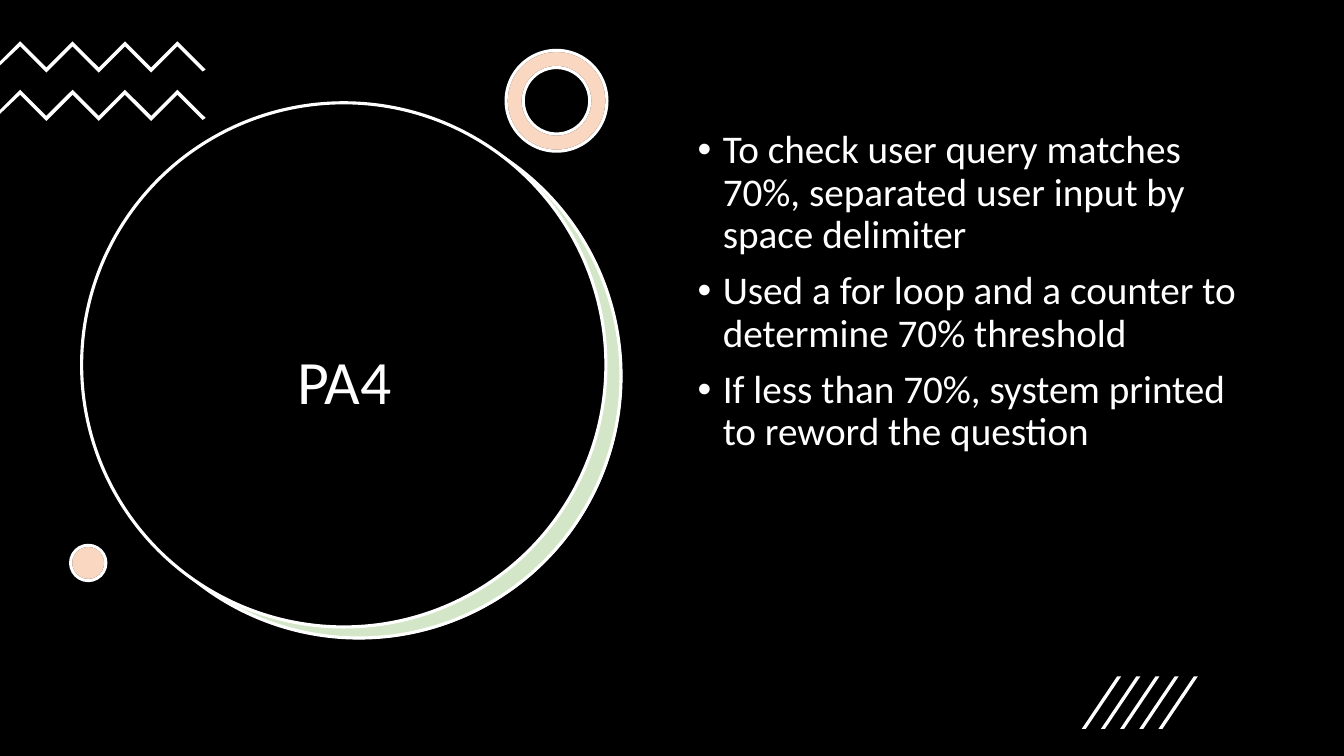
"""Build the PA4 slide with its circles, zigzags, slashes and bullet list."""
from dataclasses import dataclass

import pptx
import pptx.dml.color
import pptx.enum.shapes
import pptx.enum.text
import pptx.oxml
import pptx.oxml.ns
import pptx.util
from lxml import etree

Inches = pptx.util.Inches
Pt = pptx.util.Pt
RGBColor = pptx.dml.color.RGBColor
Kind = pptx.enum.shapes.MSO_SHAPE
Align = pptx.enum.text.PP_ALIGN
Anchor = pptx.enum.text.MSO_ANCHOR

BLACK = RGBColor(0x00, 0x00, 0x00)
WHITE = RGBColor(0xFF, 0xFF, 0xFF)
GREEN = RGBColor(0x70, 0xAD, 0x47)
ORANGE = RGBColor(0xED, 0x7D, 0x31)
FONT = "Calibri"
WIDE, HIGH = 13.33, 7.5


@dataclass
class Form:
    kind: Kind
    left: float
    top: float
    width: float
    height: float
    fill: RGBColor
    line: RGBColor | None = None
    alpha: int = 100
    hole: float | None = None


@dataclass
class Block:
    left: float
    top: float
    width: float
    height: float
    size: int
    lines: list[str]
    list_like: bool = False


def paint(shape, fill: RGBColor, line: RGBColor | None, alpha: int = 100) -> None:
    """Set fill, opacity in percent and outline."""
    shape.shadow.inherit = False
    shape.fill.solid()
    shape.fill.fore_color.rgb = fill
    if alpha < 100:
        tint = shape.fill._xPr.find(".//" + pptx.oxml.ns.qn("a:srgbClr"))
        etree.SubElement(tint, pptx.oxml.ns.qn("a:alpha"), val=str(alpha * 1000))
    if line is None:
        shape.line.fill.background()
    else:
        shape.line.color.rgb = line
        shape.line.width = Pt(2.25)


def draw(slide, form: Form) -> None:
    """Add one preset shape."""
    shape = slide.shapes.add_shape(
        form.kind, Inches(form.left), Inches(form.top),
        Inches(form.width), Inches(form.height))
    if form.hole is not None:
        shape.adjustments[0] = form.hole
    paint(shape, form.fill, form.line, form.alpha)


def trace(slide, points: list[tuple[float, float]]) -> None:
    """Add one closed white outline through points in inches."""
    spots = [(Inches(x), Inches(y)) for x, y in points]
    pen = slide.shapes.build_freeform(*spots[0], scale=1.0)
    pen.add_line_segments(spots[1:], close=True)
    paint(pen.convert_to_shape(), WHITE, None)


def zigzag(slide, top: float) -> None:
    """Add a zigzag band that runs in from the left edge."""
    bends = [(0.2 + 0.26 * i, top + 0.26 * (i % 2)) for i in range(7)]
    lower = [(x, y + 0.05) for x, y in reversed(bends)]
    ends = [(2.04, top + 0.28), (2.01, top + 0.3)]
    trace(slide, bends + ends + lower + [(0, top + 0.24), (0, top + 0.2)])


def slash(slide, left: float) -> None:
    """Add one slanted bar."""
    trace(slide, [(left + 0.04, 7.23), (left, 7.23),
                  (left + 0.35, 6.71), (left + 0.39, 6.71)])


def write(slide, block: Block) -> None:
    """Add a text box, as a bullet list or as a centred title."""
    box = slide.shapes.add_textbox(
        Inches(block.left), Inches(block.top),
        Inches(block.width), Inches(block.height))
    frame = box.text_frame
    frame.word_wrap = True
    frame.vertical_anchor = Anchor.TOP if block.list_like else Anchor.MIDDLE
    for i, line in enumerate(block.lines):
        para = frame.add_paragraph() if i else frame.paragraphs[0]
        para.line_spacing = 0.9
        if block.list_like:
            para.space_before = Pt(10)
            props = para._p.get_or_add_pPr()
            props.set("marL", str(Inches(0.25)))
            props.set("indent", str(Inches(-0.25)))
            etree.SubElement(props, pptx.oxml.ns.qn("a:buFont"), typeface="Arial")
            etree.SubElement(props, pptx.oxml.ns.qn("a:buChar"), char="•")
        else:
            para.alignment = Align.CENTER
        run = para.add_run()
        run.text = line
        run.font.size = Pt(block.size)
        run.font.name = FONT
        run.font.color.rgb = WHITE


def main() -> None:
    """Build and save the slide."""
    deck = pptx.Presentation()
    deck.slide_width, deck.slide_height = Inches(WIDE), Inches(HIGH)
    slide = deck.slides.add_slide(deck.slide_layouts[6])
    oval, ring = Kind.OVAL, Kind.DONUT
    for form in (
        Form(Kind.RECTANGLE, 0, 0, WIDE, HIGH, BLACK),
        Form(oval, 0.97, 1.14, 5.2, 5.2, WHITE),
        Form(oval, 0.96, 1.13, 5.2, 5.2, GREEN, WHITE, 30),
        Form(oval, 0.81, 1.02, 5.2, 5.2, BLACK, WHITE),
    ):
        draw(slide, form)
    write(slide, Block(1.21, 2.05, 4.41, 3.52, 44, ["PA4"]))
    for top in (0.41, 0.89):
        zigzag(slide, top)
    for kind, left, top, size, hole in (
        (ring, 5.02, 0.5, 1, 0.17),
        (oval, 0.7, 5.41, 0.35, None),
    ):
        for fill, line, alpha in ((WHITE, BLACK, 100), (ORANGE, WHITE, 30)):
            draw(slide, Form(kind, left, top, size, size, fill, line, alpha, hole))
    write(slide, Block(6.82, 1.24, 5.71, 4.76, 28, [
        "To check user query matches 70%, separated user input by space delimiter",
        "Used a for loop and a counter to determine 70% threshold",
        "If less than 70%, system printed to reword the question",
    ], True))
    for i in range(5):
        slash(slide, 10.73 + 0.19 * i)
    deck.save("out.pptx")


main()
